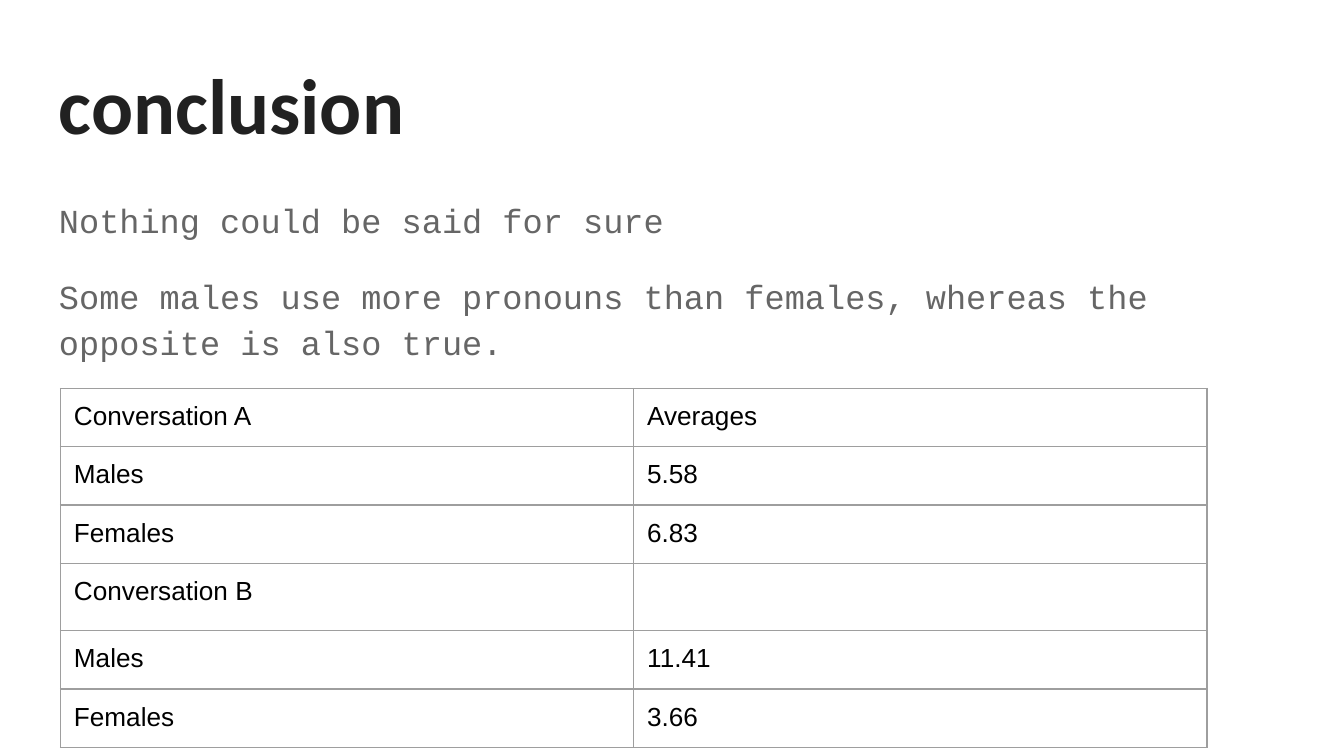
"""Build the conclusion slide with its table of averages."""
from lxml.etree import SubElement
from pptx import Presentation
from pptx.dml.color import RGBColor
from pptx.oxml.ns import qn
from pptx.util import Inches, Pt

HUES = {"title": "212121", "body": "666666", "cell": "000000", "rule": "9E9E9E"}
FONTS = {
    "title": {"name": "Calibri", "size": Pt(42), "bold": True},
    "body": {"name": "Courier New", "size": Pt(18), "bold": False},
    "cell": {"name": "Arial", "size": Pt(14), "bold": False},
}
PAD = Inches(0.1)
PADS = {f"margin_{side}": PAD for side in ("left", "top", "right", "bottom")}


def write(para, text, role):
    run = para.add_run()
    run.text = text
    for key, val in FONTS[role].items():
        setattr(run.font, key, val)
    run.font.color.rgb = RGBColor.from_string(HUES[role])


def add_text(slide, top, height, lines, role, look):
    box = slide.shapes.add_textbox(Inches(0.34), Inches(top), Inches(9.32), Inches(height))
    frame = box.text_frame
    for key, val in {**PADS, "word_wrap": True}.items():
        setattr(frame, key, val)
    for i, line in enumerate(lines):
        para = frame.paragraphs[0] if i == 0 else frame.add_paragraph()
        for key, val in look.items():
            setattr(para, key, val)
        para.space_before = Pt(16 if i else 0)
        write(para, line, role)


deck = Presentation()
deck.slide_width, deck.slide_height = Inches(10), Inches(10) * 9 // 16
slide = deck.slides.add_slide(deck.slide_layouts[6])

add_text(slide, 0.32, 0.88, ["conclusion"], "title", {})
points = [
    "Nothing could be said for sure",
    "Some males use more pronouns than females, whereas the opposite is also true.",
]
add_text(slide, 1.34, 3.65, points, "body", {"line_spacing": 1.15})

rows = [
    ("Conversation A", "Averages"),
    ("Males", "5.58"),
    ("Females", "6.83"),
    ("Conversation B", ""),
    ("Males", "11.41"),
    ("Females", "3.66"),
]
table = slide.shapes.add_table(
    len(rows), 2, Inches(0.45), Inches(2.89), Inches(8.53), Inches(0.41) * len(rows)
).table
table.first_row = table.horz_banding = False
for r, row in enumerate(rows):
    for c, text in enumerate(row):
        cell = table.cell(r, c)
        for key, val in PADS.items():
            setattr(cell, key, val)
        para = cell.text_frame.paragraphs[0]
        if text:
            write(para, text, "cell")
        else:
            end = SubElement(para._p, qn("a:endParaRPr"), sz="1800")
            SubElement(end, qn("a:latin"), typeface="Arial")
        props = cell._tc.get_or_add_tcPr()
        for side in ("lnL", "lnR", "lnT", "lnB"):
            line = SubElement(props, qn(f"a:{side}"), w=str(Pt(0.75)))
            fill = SubElement(line, qn("a:solidFill"))
            SubElement(fill, qn("a:srgbClr"), val=HUES["rule"])
        cell.fill.background()

deck.save("out.pptx")
